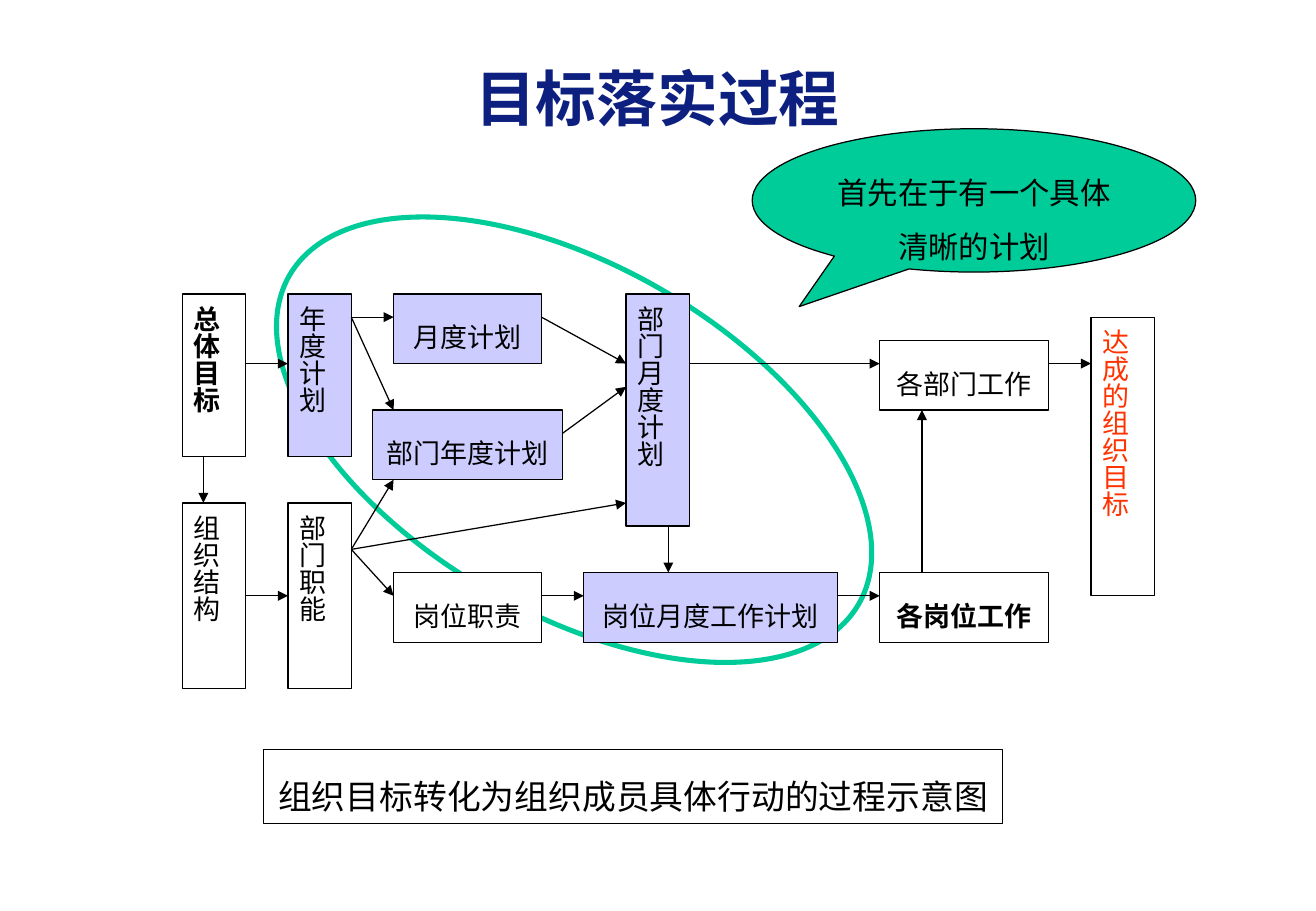
from lxml import etree
from pptx import Presentation
from pptx.dml.color import RGBColor
from pptx.enum.shapes import MSO_CONNECTOR, MSO_SHAPE
from pptx.enum.text import MSO_ANCHOR, PP_ALIGN
from pptx.oxml.ns import qn
from pptx.util import Inches, Pt

COLORS = {"navy": "0E207F", "black": "000000", "white": "FFFFFF",
          "lilac": "CCCCFF", "green": "00CC99", "red": "FF3300"}

# The flow chart sits on a grid of 46 columns by 17 rows.
GRID_LEFT, GRID_TOP = 1.5, 2.42
COLUMN, ROW = 8 / 46, 3.25 / 17

# text, column, row, columns wide, rows high, fill
HORIZONTAL_STEPS = [
    ("月度计划", 10, 0, 7, 3, "lilac"),
    ("部门年度计划", 9, 5, 9, 3, "lilac"),
    ("岗位职责", 10, 12, 7, 3, "white"),
    ("岗位月度工作计划", 19, 12, 12, 3, "lilac"),
    ("各岗位工作", 33, 12, 8, 3, "white"),
    ("各部门工作", 33, 2, 8, 3, "white"),
]
VERTICAL_STEPS = [
    ("总体目标", 0, 0, 3, 7, "white"),
    ("年度计划", 5, 0, 3, 7, "lilac"),
    ("组织结构", 0, 9, 3, 8, "white"),
    ("部门职能", 5, 9, 3, 8, "white"),
    ("部门月度计划", 21, 0, 3, 10, "lilac"),
    ("达成的组织目标", 43, 1, 3, 12, "white"),
]
BOLD_STEPS = {"总体目标", "各岗位工作"}
STEP_COLORS = {"达成的组织目标": "red"}

# start column, start row, end column, end row
FLOWS = [
    (1, 7, 1, 9), (3, 3, 5, 3), (3, 13, 5, 13),
    (8, 11, 10, 8), (8, 11, 10, 13), (8, 11, 21, 9),
    (8, 1, 10, 1), (8, 1, 10, 5),
    (17, 1, 21, 3), (18, 6, 21, 4), (17, 13, 19, 13),
    (23, 10, 23, 12), (31, 13, 33, 13), (24, 3, 33, 3),
    (35, 12, 35, 5), (41, 3, 43, 3),
]


def rgb(color):
    return RGBColor.from_string(COLORS[color])


def grid_point(column, row):
    return Inches(GRID_LEFT + column * COLUMN), Inches(GRID_TOP + row * ROW)


def write(shape, text, size=16, font="Arial", color="black", bold=False,
          spacing=1.5, anchor=MSO_ANCHOR.MIDDLE, wrap=True, vertical=False):
    frame = shape.text_frame
    frame.word_wrap = wrap
    frame.vertical_anchor = anchor
    if vertical:
        frame._txBody.bodyPr.set("vert", "eaVert")
    paragraph = frame.paragraphs[0]
    paragraph.alignment = PP_ALIGN.CENTER
    paragraph.line_spacing = spacing
    run = paragraph.add_run()
    run.text = text
    run.font.size = Pt(size)
    run.font.name = font
    run.font.bold = bold
    run.font.color.rgb = rgb(color)


def add_outline(slide, kind, left, top, width, height, fill=None,
                line="black", weight=0.75):
    shape = slide.shapes.add_shape(kind, left, top, width, height)
    shape.shadow.inherit = False
    if fill:
        shape.fill.solid()
        shape.fill.fore_color.rgb = rgb(fill)
    else:
        shape.fill.background()
    shape.line.color.rgb = rgb(line)
    shape.line.width = Pt(weight)
    return shape


def add_step(slide, text, column, row, columns, rows, fill, vertical):
    left, top = grid_point(column, row)
    box = add_outline(slide, MSO_SHAPE.RECTANGLE, left, top,
                      Inches(columns * COLUMN), Inches(rows * ROW), fill)
    write(box, text, color=STEP_COLORS.get(text, "black"),
          bold=text in BOLD_STEPS, vertical=vertical)


def add_flow(slide, start_column, start_row, end_column, end_row):
    arrow = slide.shapes.add_connector(
        MSO_CONNECTOR.STRAIGHT, *grid_point(start_column, start_row),
        *grid_point(end_column, end_row))
    arrow.line.color.rgb = rgb("black")
    arrow.line.width = Pt(0.75)
    etree.SubElement(arrow.line._get_or_add_ln(), qn("a:tailEnd"),
                     type="triangle")
    etree.SubElement(arrow._element.spPr, qn("a:effectLst"))


def main():
    deck = Presentation()
    deck.slide_width, deck.slide_height = Inches(10.83), Inches(7.5)
    slide = deck.slides.add_slide(deck.slide_layouts[6])

    plan_ring = add_outline(slide, MSO_SHAPE.OVAL, Inches(2.02), Inches(2.19),
                            Inches(5.41), Inches(2.86), "white", "green", 3)
    plan_ring.rotation = 30

    title = slide.shapes.add_textbox(Inches(0.54), Inches(0.3),
                                     Inches(9.74), Inches(1))
    write(title, "目标落实过程", size=36, font="Calibri", color="navy",
          bold=True, spacing=1)

    for step in HORIZONTAL_STEPS:
        add_step(slide, *step, vertical=False)
    for step in VERTICAL_STEPS:
        add_step(slide, *step, vertical=True)
    for flow in FLOWS:
        add_flow(slide, *flow)

    caption = add_outline(slide, MSO_SHAPE.RECTANGLE, Inches(2.17),
                          Inches(6.17), Inches(6.08), Inches(0.61))
    write(caption, "组织目标转化为组织成员具体行动的过程示意图", size=20,
          font="Noto Sans CJK SC", anchor=MSO_ANCHOR.TOP, wrap=False)

    callout = add_outline(slide, MSO_SHAPE.OVAL_CALLOUT, Inches(6.19),
                          Inches(1.06), Inches(3.65), Inches(1.18), "green")
    callout.adjustments[0], callout.adjustments[1] = -0.394, 0.741
    write(callout, "首先在于有一个具体清晰的计划", size=18,
          anchor=MSO_ANCHOR.TOP)

    deck.save("out.pptx")


if __name__ == "__main__":
    main()
